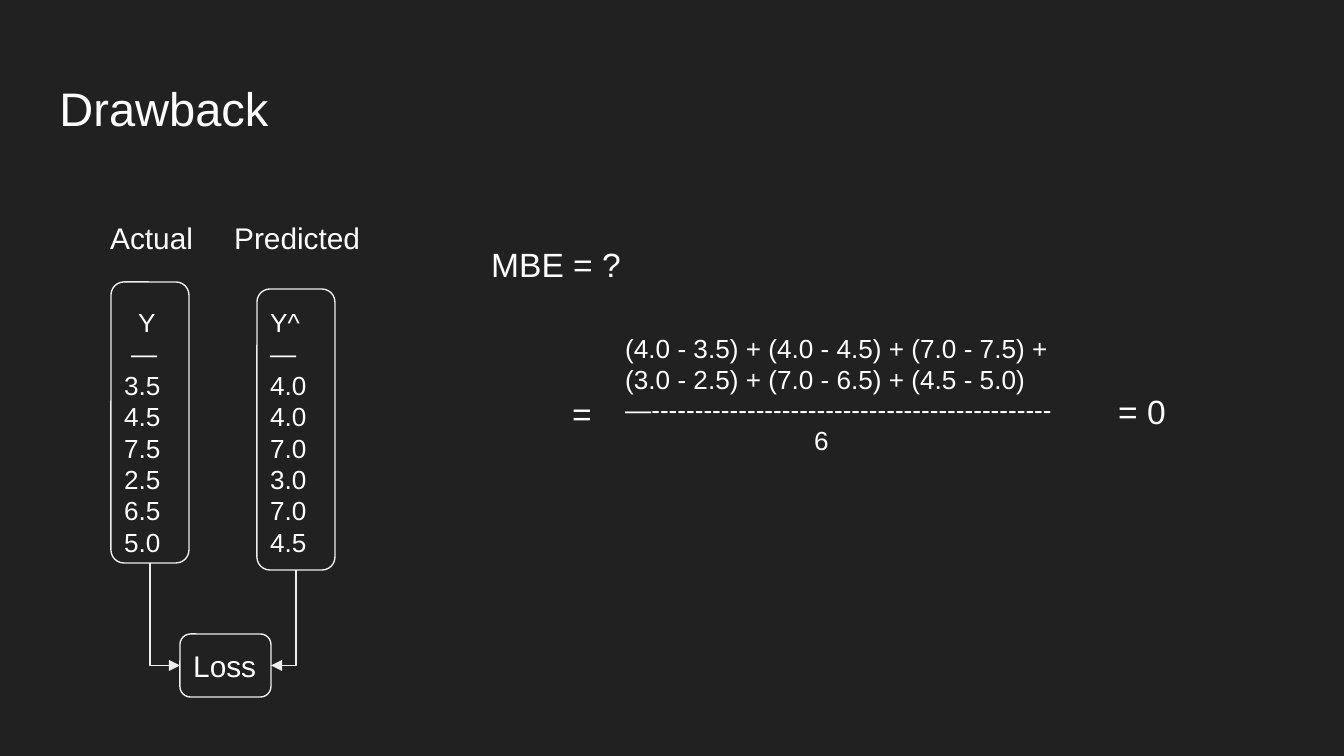
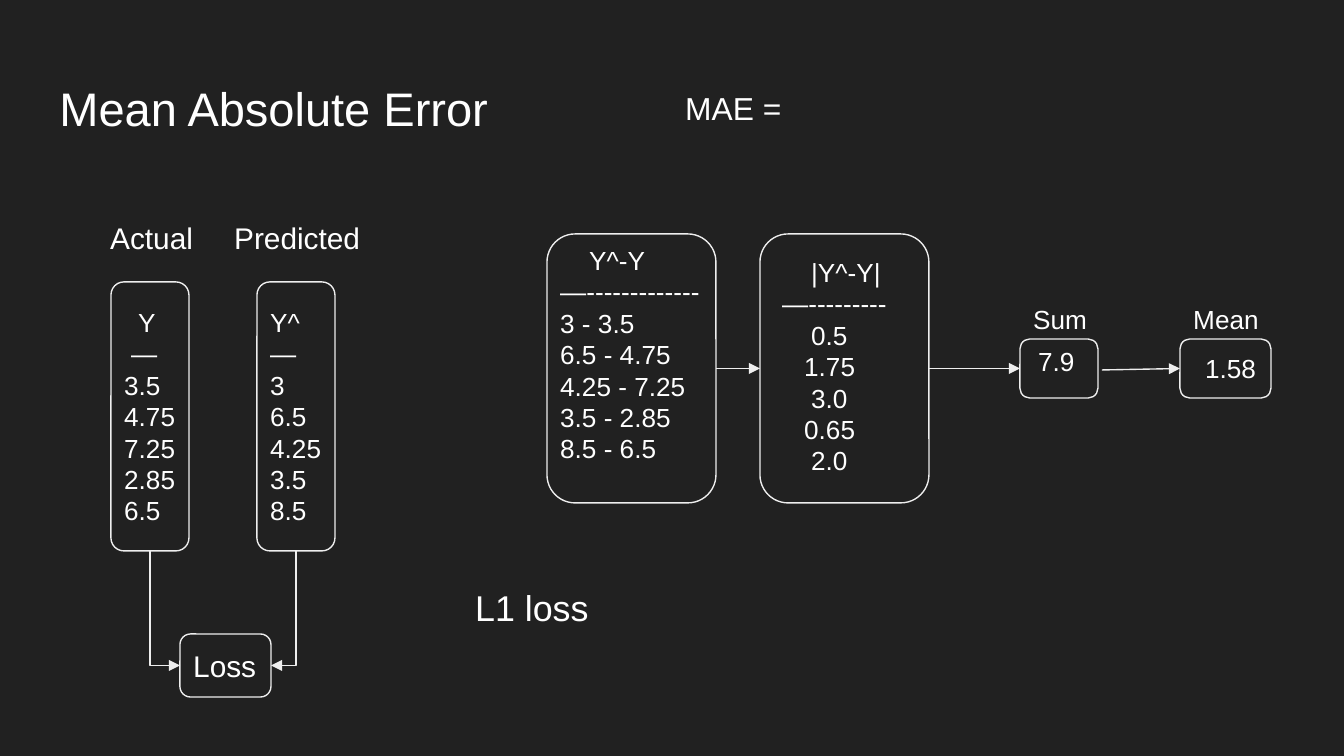
"""Build two dark slides on mean bias error and mean absolute error."""
from pptx import Presentation
from pptx.dml.color import RGBColor
from pptx.enum.shapes import MSO_CONNECTOR, MSO_SHAPE
from pptx.enum.text import MSO_ANCHOR, MSO_AUTO_SIZE, PP_ALIGN
from pptx.oxml.ns import qn
from pptx.shapes.connector import Connector
from pptx.util import Pt
from lxml.etree import SubElement

SCALE = 914400 / 134.4
BACKGROUND = RGBColor(0x21, 0x21, 0x21)
WHITE = RGBColor(0xFF, 0xFF, 0xFF)
OUTLINE = RGBColor(0xEE, 0xEE, 0xEE)
TITLE_BOX = (46, 66, 1253, 85)
LOSS_FRAME = (180, 634, 91, 63)
PREDICTED_TAB = 124
FRAME_FORMAT = {"color": OUTLINE, "width": Pt(0.75)}
TEXT_FORMAT = {"word_wrap": True, "auto_size": MSO_AUTO_SIZE.NONE, "vertical_anchor": MSO_ANCHOR.TOP}
TEXT_FORMAT |= {f"margin_{side}": round(13.44 * SCALE) for side in ("left", "top", "right", "bottom")}


def write_text(shape, lines, size):
    """Fill a shape with lines, each a string or a (string, indent in px) pair."""
    frame = shape.text_frame
    for name, value in TEXT_FORMAT.items():
        setattr(frame, name, value)
    for index, line in enumerate(lines):
        text, indent = line if isinstance(line, tuple) else (line, 0)
        paragraph = frame.add_paragraph() if index else frame.paragraphs[0]
        paragraph.alignment = PP_ALIGN.LEFT
        paragraph.line_spacing = Pt(round(size * 1.2, 1))
        properties = paragraph._p.get_or_add_pPr()
        properties.set("marL", str(round(indent * SCALE)))
        if "\t" in text:
            tabs = SubElement(properties, qn("a:tabLst"))
            SubElement(tabs, qn("a:tab"), pos=str(round(PREDICTED_TAB * SCALE)), algn="l")
        run = paragraph.add_run()
        run.text = text
        for name, value in {"name": "Arial", "size": Pt(size)}.items():
            setattr(run.font, name, value)
        run.font.color.rgb = WHITE


def add_frame(slide, box):
    """Add an unfilled rounded rectangle at a box in px."""
    shape = slide.shapes.add_shape(MSO_SHAPE.ROUNDED_RECTANGLE, *(round(v * SCALE) for v in box))
    shape.shadow.inherit = False
    shape.fill.background()
    shape.line.color.rgb = FRAME_FORMAT["color"]
    shape.line.width = FRAME_FORMAT["width"]
    return shape


presentation = Presentation()
presentation.slide_width = round(1344 * SCALE)
presentation.slide_height = round(756 * SCALE)
background = presentation.slide_master.background.fill
background.solid()
background.fore_color.rgb = BACKGROUND

slide_data = [
    {
        "title": "Drawback",
        "actual": ["3.5", "4.5", "7.5", "2.5", "6.5", "5.0"],
        "predicted": ["4.0", "4.0", "7.0", "3.0", "7.0", "4.5"],
        "frames": [(111, 282, 78, 281), (257, 289, 78, 281)],
        "texts": [
            ((478, 231, 194, 67), ["MBE = ?"], 18),
            ((612, 319, 452, 90),
             ["(4.0 - 3.5) + (4.0 - 4.5) + (7.0 - 7.5) + (3.0 - 2.5) + (7.0 - 6.5) + (4.5 - 5.0)"], 14),
            ((559, 380, 63, 67), ["="], 18),
            ((612, 380, 732, 90), ["—" + "-" * 46, ("6", 189)], 14),
            ((1105, 378, 91, 67), ["= 0"], 18),
        ],
    },
    {
        "title": "Mean Absolute Error",
        "actual": ["3.5", "4.75", "7.25", "2.85", "6.5"],
        "predicted": ["3", "6.5", "4.25", "3.5", "8.5"],
        "frames": [(111, 282, 78, 269), (257, 282, 78, 269)],
        "texts": [
            ((672, 75, 276, 66), ["MAE ="], 17),
            ((547, 231, 169, 249),
             [("Y^-Y", 29), "—" + "-" * 13, "3 - 3.5", "6.5 - 4.75", "4.25 - 7.25", "3.5 - 2.85", "8.5 - 6.5"], 14),
            ((769, 243, 169, 249),
             [("|Y^-Y|", 29), "—" + "-" * 9, ("0.5", 29), ("1.75", 22), ("3.0", 29), ("0.65", 22), ("2.0", 29)], 14),
            ((1025, 332, 94, 59), ["7.9"], 14),
            ((1020, 290, 91, 59), ["Sum"], 14),
            ((1192, 339, 94, 59), ["1.58"], 14),
            ((1180, 290, 103, 59), ["Mean"], 14),
            ((462, 572, 276, 85), ["L1 loss"], 19.2),
        ],
    },
]

for data in slide_data:
    slide = presentation.slides.add_slide(presentation.slide_layouts[5])
    title = slide.shapes.title
    for name, value in zip(("left", "top", "width", "height"), TITLE_BOX):
        setattr(title, name, round(value * SCALE))
    write_text(title, [data["title"]], 25.2)

    column_height = 27 + 32 * (len(data["actual"]) + 2)
    shared_texts = [
        ((111, 293, 94, column_height), [("Y", 14), ("—", 7), *data["actual"]], 14),
        ((257, 293, 91, column_height), ["Y^", "—", *data["predicted"]], 14),
        ((97, 206, 333, 63), ["Actual\tPredicted"], 16),
        ((180, 634, 103, 63), ["Loss"], 16),
    ]
    for box, lines, size in shared_texts + data["texts"]:
        textbox = slide.shapes.add_textbox(*(round(v * SCALE) for v in box))
        write_text(textbox, lines, size)

    loss = add_frame(slide, LOSS_FRAME)
    loss_middle = loss.top + loss.height // 2
    for box, side in zip(data["frames"], (1, 3)):
        column = add_frame(slide, box)
        elbow = slide.shapes.add_connector(MSO_CONNECTOR.ELBOW, 0, 0, 0, 0)
        elbow.begin_connect(column, 2)
        elbow.end_connect(loss, side)
        start_x = column.left + column.width // 2
        start_y = column.top + column.height
        end_x = loss.left if side == 1 else loss.left + loss.width
        drop, reach = loss_middle - start_y, abs(end_x - start_x)
        properties = elbow._element.spPr
        properties.find(qn("a:prstGeom")).set("prst", "bentConnector2")
        transform = properties.find(qn("a:xfrm"))
        for name in ("flipH", "flipV"):
            transform.attrib.pop(name, None)
        transform.set("rot", "16200000" if side == 1 else "5400000")
        if side == 1:
            transform.set("flipH", "1")
        elbow.left = (start_x + end_x - drop) // 2
        elbow.top = (start_y + loss_middle - reach) // 2
        elbow.width, elbow.height = drop, reach

difference, absolute, total, mean = (
    add_frame(slide, box)
    for box in [(547, 234, 169, 269), (760, 234, 169, 269), (1020, 339, 78, 59), (1180, 339, 91, 59)]
)
for source, target in [(difference, absolute), (absolute, total), (None, mean)]:
    arrow = slide.shapes.add_connector(
        MSO_CONNECTOR.STRAIGHT, round(1102 * SCALE), round(370 * SCALE), round(1180 * SCALE), round(368 * SCALE))
    if source is not None:
        arrow.begin_connect(source, 3)
    arrow.end_connect(target, 1)

for slide in presentation.slides:
    for connector in slide.shapes:
        if isinstance(connector, Connector):
            connector.line.color.rgb = FRAME_FORMAT["color"]
            connector.line.width = FRAME_FORMAT["width"]
            SubElement(connector.line._get_or_add_ln(), qn("a:tailEnd"), type="triangle")
            SubElement(connector._element.spPr, qn("a:effectLst"))

presentation.save("out.pptx")
